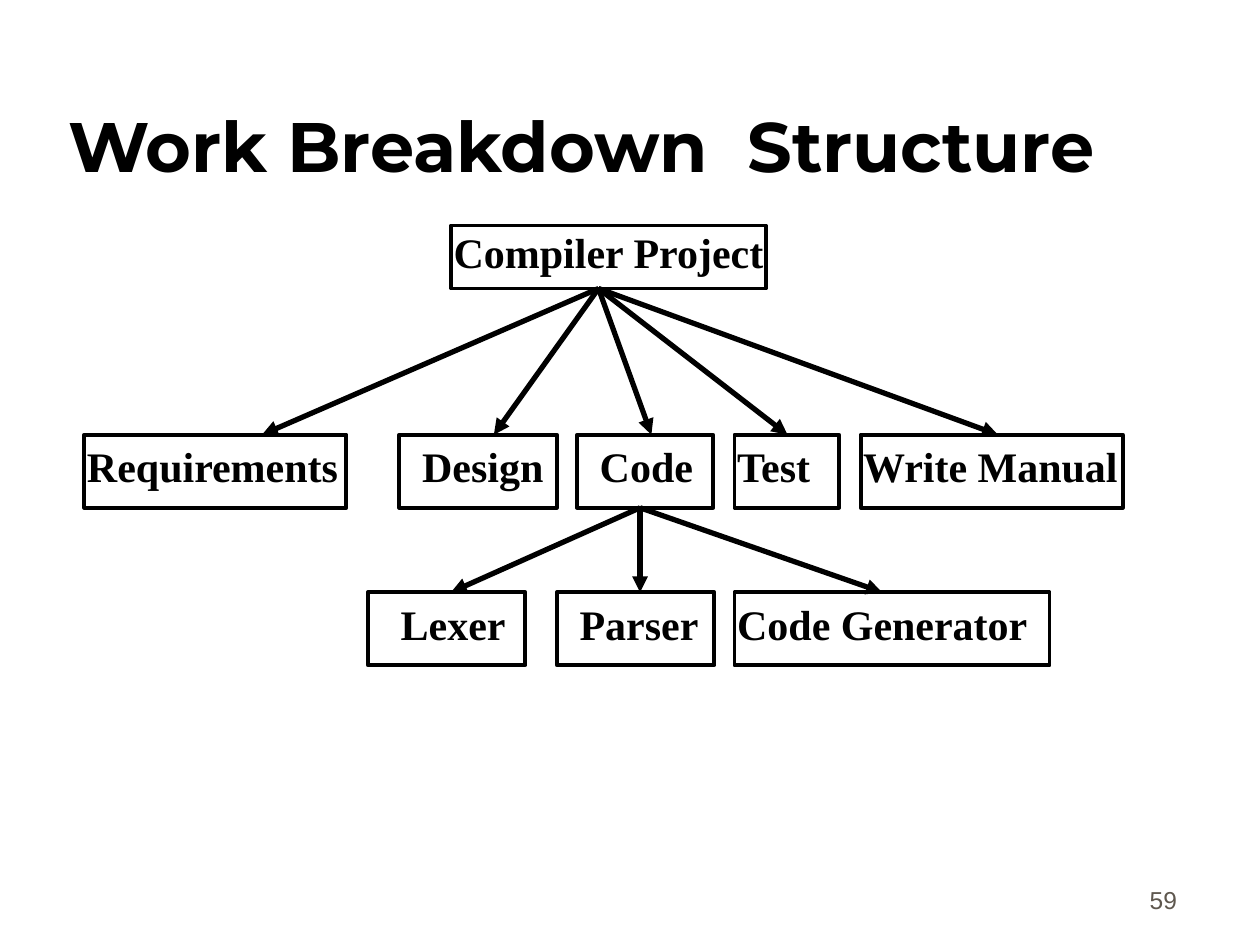
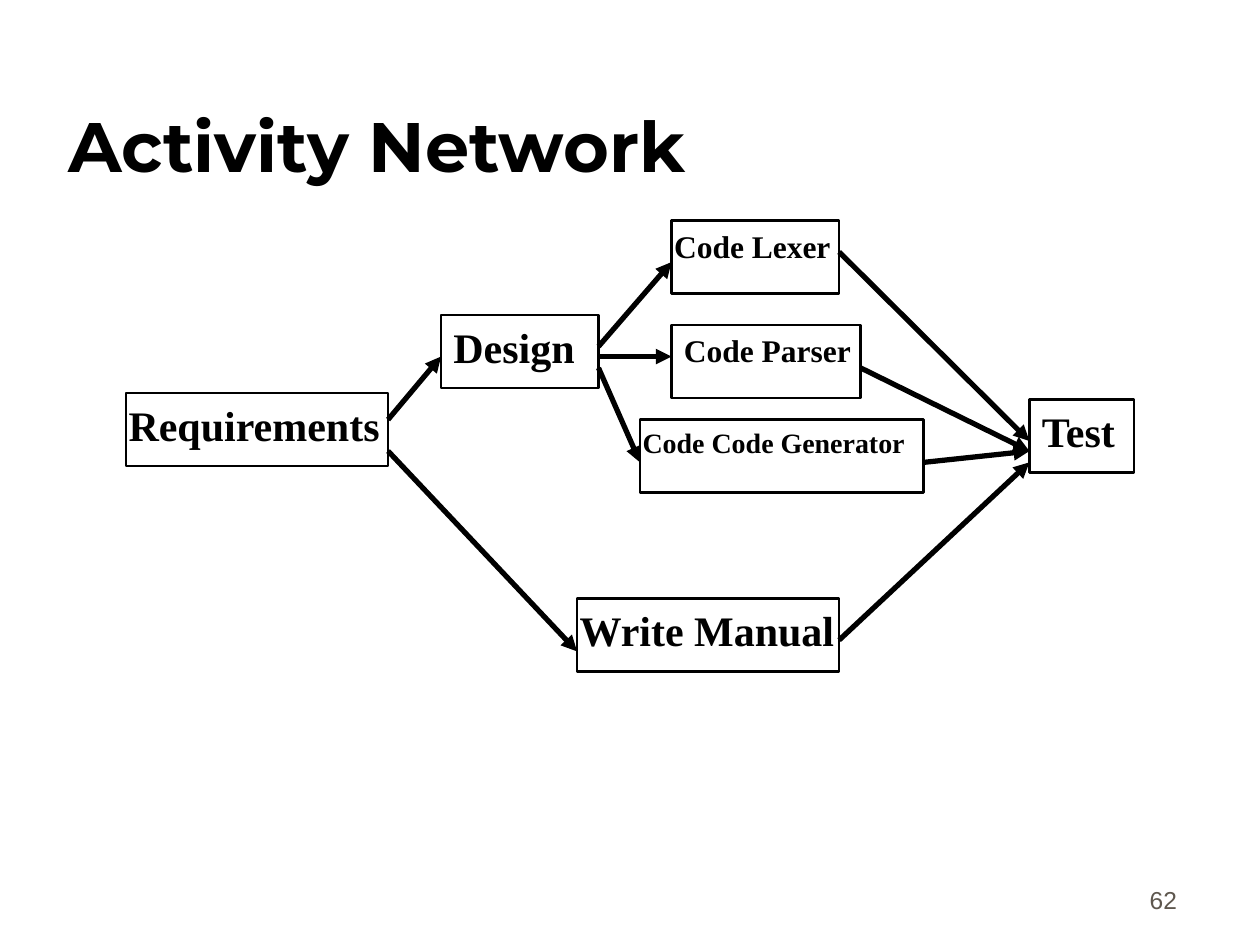
"""Build two project planning slides: a work breakdown structure and an activity network."""
import pptx
import pptx.dml.color
import pptx.enum.shapes
import pptx.enum.text
import pptx.oxml
import pptx.oxml.ns
import pptx.util
from dataclasses import dataclass
from pptx.util import Inches


@dataclass(frozen=True)
class Theme:
    ink: str = "000000"
    muted: str = "5E574E"
    title_font: str = "Montserrat"
    label_font: str = "Times New Roman"
    number_font: str = "Arial"
    title_size: int = 40
    label_size: int = 24
    number_size: int = 14
    arrow_width: float = 3
    box_height: float = 0.58


THEME = Theme()
ALIGN = pptx.enum.text.PP_ALIGN
ANCHOR = pptx.enum.text.MSO_ANCHOR

TITLE_AREA = (0.44, 0.25, 8.5, 1.25)
NUMBER_AREA = (7.36, 6.81, 2.08, 0.5)

# task: (left, top, width, text indent) plus any differing format
BREAKDOWN = {
    "title": "Work Breakdown  Structure",
    "number": "59",
    "outline": 2.25,
    "flow": "down",
    "tasks": {
        "Compiler Project": (3.58, 1.79, 2.5, 0.02, {"height": 0.5, "inset_top": 0.01}),
        "Requirements": (0.67, 3.45, 2.08, 0.02, {}),
        "Design": (3.17, 3.45, 1.25, 0.18, {}),
        "Code": (4.58, 3.45, 1.08, 0.18, {}),
        "Test": (5.83, 3.45, 0.83, 0.02, {}),
        "Write Manual": (6.83, 3.45, 2.08, 0.02, {}),
        "Lexer": (2.92, 4.7, 1.25, 0.26, {}),
        "Parser": (4.42, 4.7, 1.25, 0.18, {}),
        "Code Generator": (5.83, 4.7, 2.5, 0.02, {}),
    },
    "arrows": [
        ("Compiler Project", 4.75, [("Requirements", 2.08), ("Design", 3.92), ("Code", 5.17),
                                    ("Test", 6.25), ("Write Manual", 7.92)]),
        ("Code", 5.08, [("Lexer", 3.58), ("Parser", 5.08), ("Code Generator", 7)]),
    ],
}

NETWORK = {
    "title": "Activity Network",
    "number": "62",
    "outline": 1.5,
    "flow": "right",
    "tasks": {
        "Requirements": (1, 3.12, 2.08, 0.02, {}),
        "Design": (3.5, 2.5, 1.25, 0.1, {}),
        "Code Lexer": (5.33, 1.75, 1.33, 0.02, {"size": 18}),
        "Code Parser": (5.33, 2.58, 1.5, 0.1, {"size": 18}),
        "Code Code Generator": (5.08, 3.33, 2.25, 0.02, {"size": 16}),
        "Write Manual": (4.58, 4.75, 2.08, 0.02, {}),
        "Test": (8.17, 3.17, 0.83, 0.1, {}),
    },
    "arrows": [
        ("Requirements", 3.33, [("Design", 2.83)]),
        ("Requirements", 3.58, [("Write Manual", 5.17)]),
        ("Design", 2.75, [("Code Lexer", 2.08)]),
        ("Design", 2.83, [("Code Parser", 2.83)]),
        ("Design", 2.92, [("Code Code Generator", 3.67)]),
        ("Code Lexer", 2, [("Test", 3.5)]),
        ("Code Parser", 2.92, [("Test", 3.58)]),
        ("Code Code Generator", 3.67, [("Test", 3.58)]),
        ("Write Manual", 5.08, [("Test", 3.67)]),
    ],
}


def color(code):
    return pptx.dml.color.RGBColor.from_string(code)


def write(holder, text, *, font=THEME.label_font, size=THEME.label_size, ink=THEME.ink, bold=True,
          align=ALIGN.LEFT, anchor=ANCHOR.TOP, insets=(0.1, 0.05, 0.1, 0.05)):
    frame = holder.text_frame
    frame.word_wrap = True
    frame.auto_size = pptx.enum.text.MSO_AUTO_SIZE.NONE
    frame.vertical_anchor = anchor
    frame.margin_left, frame.margin_top, frame.margin_right, frame.margin_bottom = map(Inches, insets)
    paragraph = frame.paragraphs[0]
    paragraph.alignment = align
    run = paragraph.add_run()
    run.text = text
    run.font.name, run.font.size, run.font.bold = font, pptx.util.Pt(size), bold
    run.font.color.rgb = color(ink)


def add_heading(slide, title, number):
    heading = slide.shapes.title
    heading.left, heading.top, heading.width, heading.height = map(Inches, TITLE_AREA)
    write(heading, title, font=THEME.title_font, size=THEME.title_size, anchor=ANCHOR.BOTTOM,
          insets=(0.1, 0.05, 0.1, 0.02))
    page = slide.shapes.add_textbox(*map(Inches, NUMBER_AREA))
    write(page, number, font=THEME.number_font, size=THEME.number_size, ink=THEME.muted, bold=False,
          align=ALIGN.RIGHT, anchor=ANCHOR.BOTTOM)


def add_task(slide, name, outline, left, top, width, indent, *, height=THEME.box_height,
             inset_top=0.05, size=THEME.label_size):
    task = slide.shapes.add_shape(pptx.enum.shapes.MSO_SHAPE.RECTANGLE,
                                  *map(Inches, (left, top, width, height)))
    task.shadow.inherit = False
    task.fill.background()
    task.line.color.rgb = color(THEME.ink)
    task.line.width = pptx.util.Pt(outline)
    write(task, name, size=size, insets=(indent, inset_top, 0, 0))
    return task


def add_arrow(slide, source, leave, target, arrive, flow):
    if flow == "down":
        ends = (Inches(leave), source.top + source.height, Inches(arrive), target.top)
    else:
        ends = (source.left + source.width, Inches(leave), target.left, Inches(arrive))
    arrow = slide.shapes.add_connector(pptx.enum.shapes.MSO_CONNECTOR.STRAIGHT, *ends)
    arrow.line.color.rgb = color(THEME.ink)
    arrow.line.width = pptx.util.Pt(THEME.arrow_width)
    head = pptx.oxml.parse_xml(f'<a:tailEnd {pptx.oxml.ns.nsdecls("a")} type="triangle"/>')
    arrow.line._get_or_add_ln().append(head)
    arrow._element.spPr.append(pptx.oxml.parse_xml(f'<a:effectLst {pptx.oxml.ns.nsdecls("a")}/>'))


def add_diagram(deck, plan):
    slide = deck.slides.add_slide(deck.slide_layouts.get_by_name("Title Only"))
    add_heading(slide, plan["title"], plan["number"])
    tasks = {name: add_task(slide, name, plan["outline"], *place, **changes)
             for name, (*place, changes) in plan["tasks"].items()}
    for source, leave, targets in plan["arrows"]:
        for target, arrive in targets:
            add_arrow(slide, tasks[source], leave, tasks[target], arrive, plan["flow"])


def main():
    deck = pptx.Presentation()
    deck.slide_width, deck.slide_height = Inches(10), Inches(7.5)
    for plan in (BREAKDOWN, NETWORK):
        add_diagram(deck, plan)
    deck.save("out.pptx")


if __name__ == "__main__":
    main()
